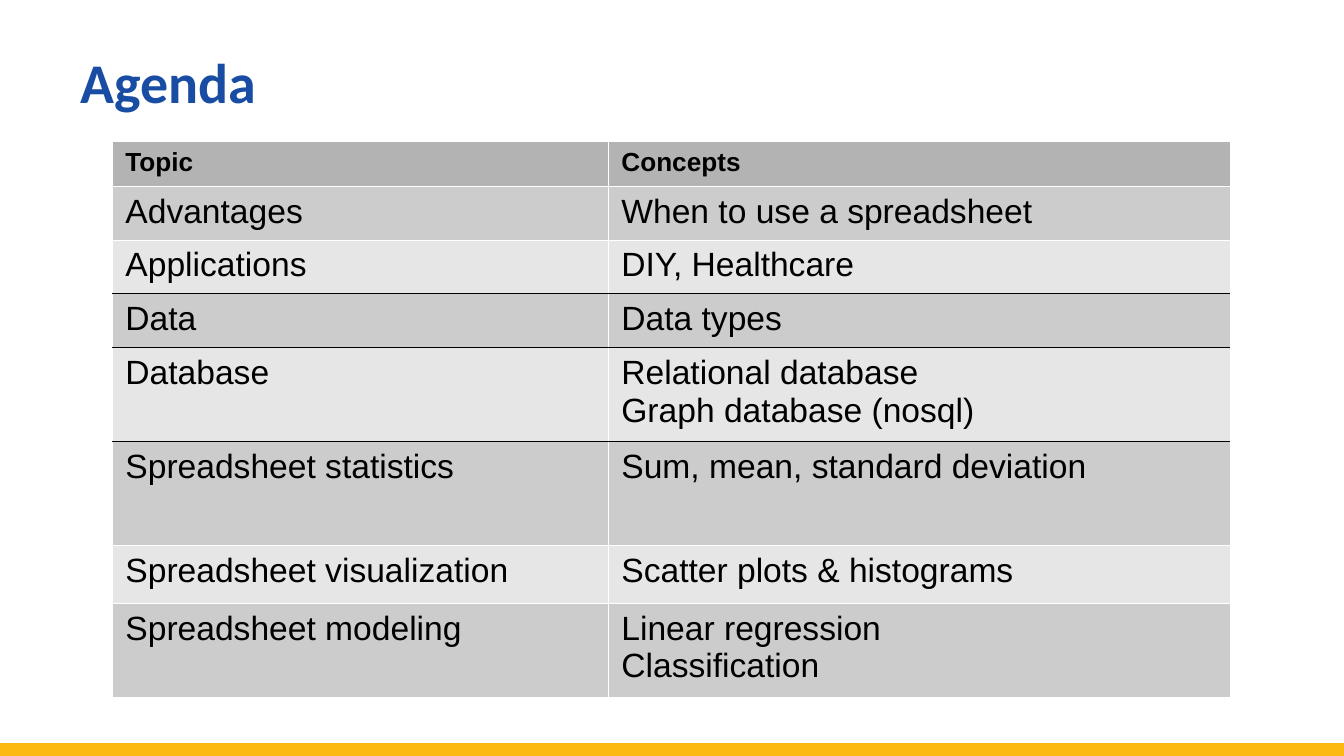
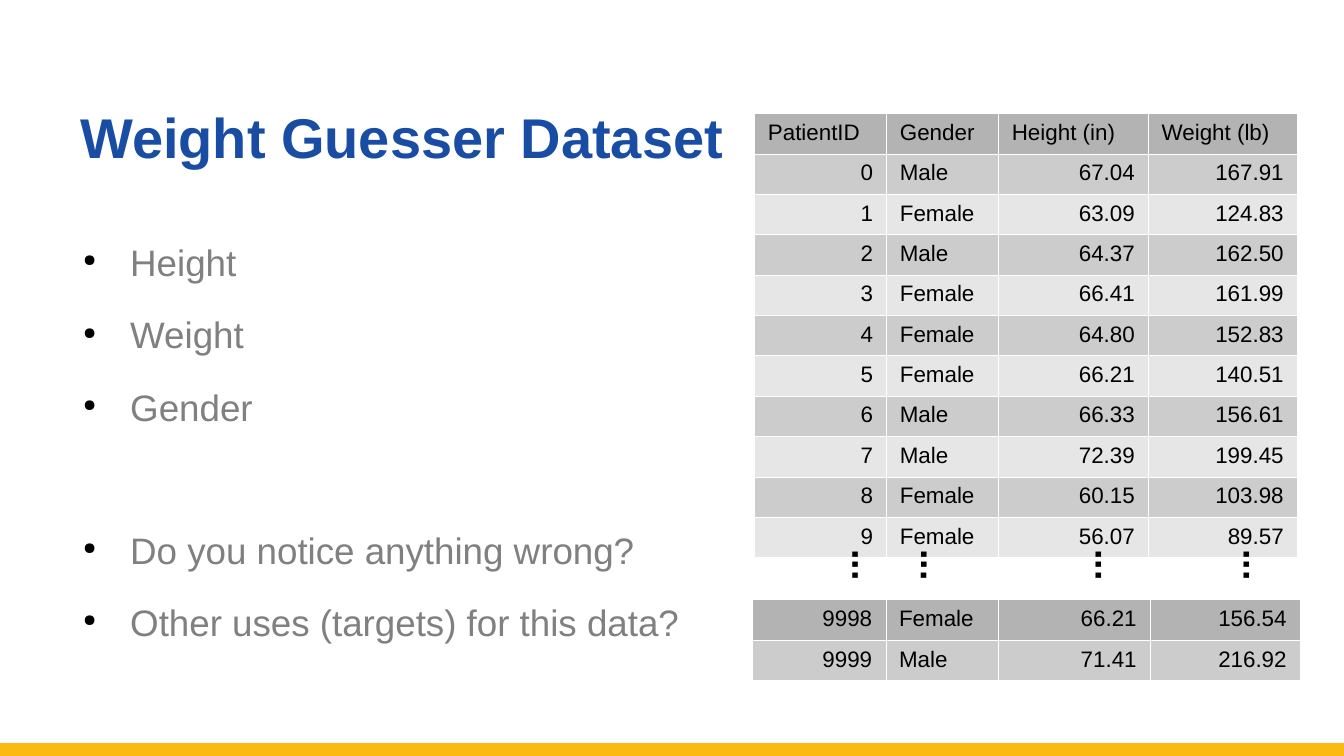
from dataclasses import dataclass, field

from lxml.etree import SubElement
from pptx import Presentation
from pptx.dml.color import RGBColor
from pptx.enum.shapes import MSO_CONNECTOR
from pptx.enum.text import MSO_ANCHOR, PP_ALIGN
from pptx.oxml.ns import qn
from pptx.shapes.autoshape import Shape
from pptx.slide import Slide
from pptx.table import _Cell
from pptx.text.text import TextFrame, _Paragraph
from pptx.util import Pt

WIDTH, HEIGHT = 720, 405
WHITE, BLACK, BLUE, GOLD, GRAY = "FFFFFF", "000000", "184DA3", "FDB913", "808080"
HEADER_FILL, BAND_FILLS = "B3B3B3", ("CCCCCC", "E6E6E6")
BODY_FONT = "Arial"
HAIRLINE = 0.06


@dataclass(frozen=True)
class Box:
    """A rectangle in points."""

    left: float
    top: float
    width: float
    height: float


@dataclass(frozen=True)
class TextStyle:
    """Font settings of a text."""

    size: float
    color: str = BLACK
    bold: bool = False
    font: str = BODY_FONT


@dataclass(frozen=True)
class Grid:
    """A banded table; rules maps a row to the width of the black line above it."""

    left: float
    top: float
    columns: tuple[float, ...]
    heights: tuple[float, ...]
    rows: tuple[tuple[str, ...], ...]
    header: TextStyle
    body: TextStyle
    rules: dict[int, float] = field(default_factory=dict)


@dataclass(frozen=True)
class Bullet:
    """A bullet text and the space before it."""

    text: str
    space_before: float


TITLE_BOX = Box(36, 0, 648, 94.5)
BULLET_BOX = Box(36, 95, 648, 234.5)
BULLET_INSET = 33.5
BULLET_STYLE = TextStyle(19.7, GRAY)
BULLET_GAP, GROUP_GAP = 15.1, 52.9
BULLETS = (
    Bullet("Height", 0),
    Bullet("Weight", BULLET_GAP),
    Bullet("Gender", BULLET_GAP),
    Bullet("Do you notice anything wrong?", GROUP_GAP),
    Bullet("Other uses (targets) for this data?", BULLET_GAP),
)
DOT_LEFTS = (450, 486.7, 580.3, 659.5)
DOT_STYLE = TextStyle(20, bold=True)
DATA_STYLE = TextStyle(12)
DATA_ROW = 20.8

AGENDA = Grid(
    60, 75.6, (265.7, 333.4), (22.8, 27.4, 27.4, 27.4, 47.5, 55.6, 31, 47.5),
    (
        ("Topic", "Concepts"),
        ("Advantages", "When to use a spreadsheet"),
        ("Applications", "DIY, Healthcare"),
        ("Data", "Data types"),
        ("Database", "Relational database\nGraph database (nosql)"),
        ("Spreadsheet statistics", "Sum, mean, standard deviation"),
        ("Spreadsheet visualization", "Scatter plots & histograms"),
        ("Spreadsheet modeling", "Linear regression\nClassification"),
    ),
    TextStyle(14, bold=True), TextStyle(18), {3: 0.5, 4: 1, 5: 0.5},
)
FIRST_PATIENTS = Grid(
    404.2, 60.7, (70.7, 60, 80.3, 79.8), (DATA_ROW,) * 11,
    (
        ("PatientID", "Gender", "Height (in)", "Weight (lb)"),
        ("0", "Male", "67.04", "167.91"),
        ("1", "Female", "63.09", "124.83"),
        ("2", "Male", "64.37", "162.50"),
        ("3", "Female", "66.41", "161.99"),
        ("4", "Female", "64.80", "152.83"),
        ("5", "Female", "66.21", "140.51"),
        ("6", "Male", "66.33", "156.61"),
        ("7", "Male", "72.39", "199.45"),
        ("8", "Female", "60.15", "103.98"),
        ("9", "Female", "56.07", "89.57"),
    ),
    DATA_STYLE, DATA_STYLE,
)
LAST_PATIENTS = Grid(
    402.7, 321.2, (71.8, 60.5, 81.2, 80.4), (DATA_ROW,) * 2,
    (
        ("9998", "Female", "66.21", "156.54"),
        ("9999", "Male", "71.41", "216.92"),
    ),
    DATA_STYLE, DATA_STYLE,
)


def color(value: str) -> RGBColor:
    """Turn a hex string into a colour."""
    return RGBColor.from_string(value)


def format_text(text_frame: TextFrame, style: TextStyle) -> None:
    """Apply a style to every run."""
    for paragraph in text_frame.paragraphs:
        for run in paragraph.runs:
            run.font.name = style.font
            run.font.size = Pt(style.size)
            run.font.bold = style.bold
            run.font.color.rgb = color(style.color)


def add_text(slide: Slide, box: Box, text: str, style: TextStyle) -> Shape:
    """Add a wrapping text box."""
    shape = slide.shapes.add_textbox(Pt(box.left), Pt(box.top), Pt(box.width), Pt(box.height))
    shape.text_frame.word_wrap = True
    shape.text_frame.text = text
    format_text(shape.text_frame, style)
    return shape


def add_title(slide: Slide, text: str, font: str, anchor: MSO_ANCHOR) -> None:
    """Add the slide title."""
    text_frame = add_text(slide, TITLE_BOX, text, TextStyle(30, BLUE, True, font)).text_frame
    text_frame.vertical_anchor = anchor
    text_frame.paragraphs[0].line_spacing = Pt(58)


def add_footer_band(slide: Slide) -> None:
    """Draw the gold line along the bottom edge."""
    band = slide.shapes.add_connector(MSO_CONNECTOR.STRAIGHT, 0, Pt(401.8), Pt(WIDTH), Pt(401.8))
    band.line.color.rgb = color(GOLD)
    band.line.width = Pt(8)
    SubElement(band._element.spPr, qn("a:effectLst"))


def set_border(cell: _Cell, position: int, side: str, width: float, line_color: str) -> None:
    """Add one cell border at its place in the cell properties."""
    properties = cell._tc.get_or_add_tcPr()
    line = SubElement(properties, qn(f"a:ln{side}"), w=str(int(Pt(width))))
    fill = SubElement(line, qn("a:solidFill"))
    SubElement(fill, qn("a:srgbClr"), val=str(color(line_color)))
    properties.insert(position, line)


def add_grid(slide: Slide, grid: Grid) -> None:
    """Add a table with banded rows and right-aligned numbers."""
    table = slide.shapes.add_table(
        len(grid.rows), len(grid.columns), Pt(grid.left), Pt(grid.top),
        Pt(sum(grid.columns)), Pt(sum(grid.heights)),
    ).table
    table.first_row = table.horz_banding = False
    for column, width in zip(table.columns, grid.columns):
        column.width = Pt(width)
    for row_index, (height, texts) in enumerate(zip(grid.heights, grid.rows)):
        table.rows[row_index].height = Pt(height)
        fill = BAND_FILLS[(row_index - 1) % 2] if row_index else HEADER_FILL
        widths = {"L": 0, "R": 0, "T": grid.rules.get(row_index, 0),
                  "B": grid.rules.get(row_index + 1, 0)}
        for column_index, text in enumerate(texts):
            cell = table.cell(row_index, column_index)
            cell.text_frame.text = text
            format_text(cell.text_frame, grid.body if row_index else grid.header)
            if text[0].isdigit():
                cell.text_frame.paragraphs[0].alignment = PP_ALIGN.RIGHT
            cell.fill.solid()
            cell.fill.fore_color.rgb = color(fill)
            for position, (side, width) in enumerate(widths.items()):
                set_border(cell, position, side, width or HAIRLINE, BLACK if width else WHITE)


def set_bullet(paragraph: _Paragraph) -> None:
    """Give a paragraph a small black bullet and a hanging indent."""
    properties = paragraph._p.get_or_add_pPr()
    properties.set("marL", str(int(Pt(33.8))))
    properties.set("indent", str(int(Pt(-25.2))))
    bullet_color = SubElement(properties, qn("a:buClr"))
    SubElement(bullet_color, qn("a:srgbClr"), val=str(color(BLACK)))
    SubElement(properties, qn("a:buSzPct"), val="45000")
    SubElement(properties, qn("a:buChar"), char="●")


def add_bullets(slide: Slide, bullets: tuple[Bullet, ...]) -> None:
    """Add the bullet list."""
    text = "\n".join(bullet.text for bullet in bullets)
    text_frame = add_text(slide, BULLET_BOX, text, BULLET_STYLE).text_frame
    text_frame.margin_left = text_frame.margin_right = text_frame.margin_bottom = 0
    text_frame.margin_top = Pt(BULLET_INSET)
    for paragraph, bullet in zip(text_frame.paragraphs, bullets):
        paragraph.space_before = Pt(bullet.space_before)
        set_bullet(paragraph)


def add_agenda_slide(presentation: Presentation) -> None:
    """Build the agenda slide."""
    slide = presentation.slides.add_slide(presentation.slide_layouts[6])
    add_footer_band(slide)
    add_title(slide, "Agenda", "Calibri", MSO_ANCHOR.TOP)
    add_grid(slide, AGENDA)


def add_dataset_slide(presentation: Presentation) -> None:
    """Build the dataset slide."""
    slide = presentation.slides.add_slide(presentation.slide_layouts[6])
    add_footer_band(slide)
    add_title(slide, "Weight Guesser Dataset", BODY_FONT, MSO_ANCHOR.BOTTOM)
    add_bullets(slide, BULLETS)
    add_grid(slide, FIRST_PATIENTS)
    add_grid(slide, LAST_PATIENTS)
    for left in DOT_LEFTS:
        add_text(slide, Box(left, 288, 30.9, 29.5), "...", DOT_STYLE).rotation = 90.2


def main() -> None:
    """Build and save the presentation."""
    presentation = Presentation()
    presentation.slide_width, presentation.slide_height = Pt(WIDTH), Pt(HEIGHT)
    add_agenda_slide(presentation)
    add_dataset_slide(presentation)
    presentation.save("out.pptx")


if __name__ == "__main__":
    main()
